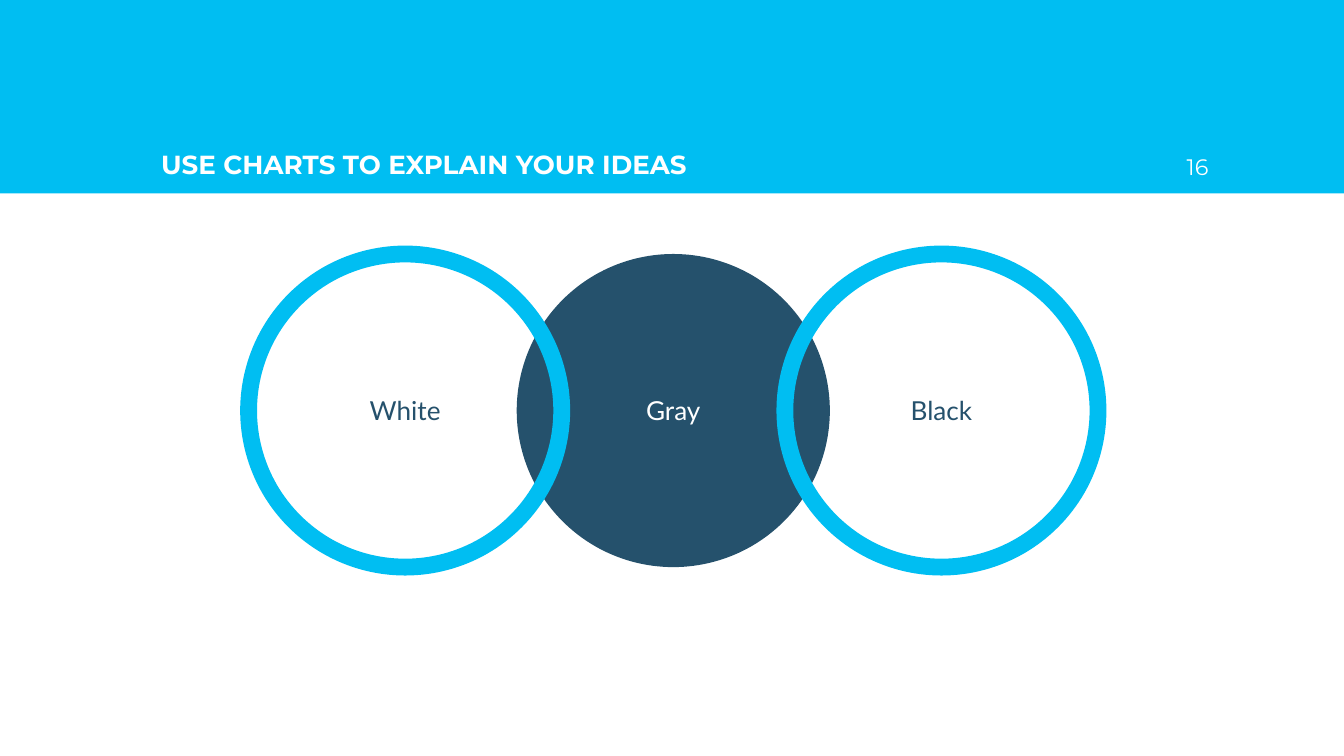
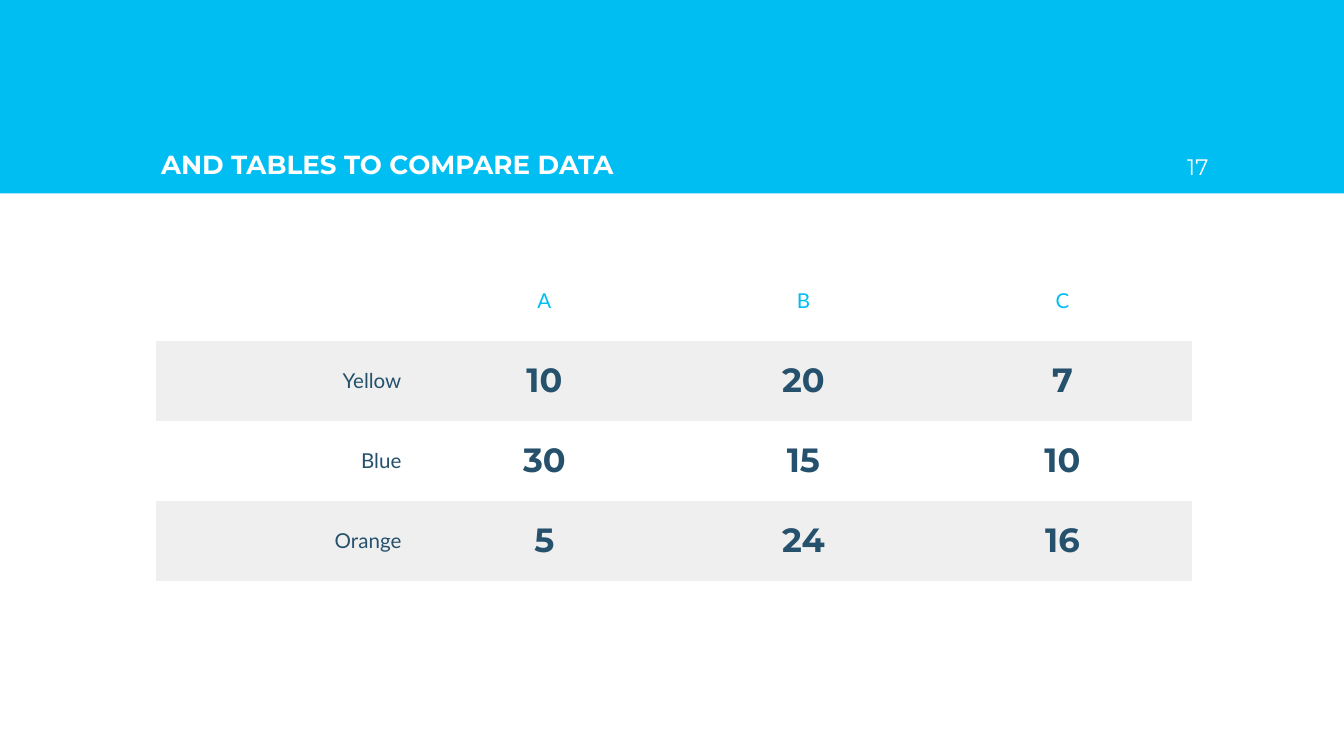
from pptx import Presentation
from pptx.dml.color import RGBColor
from pptx.enum.shapes import MSO_SHAPE
from pptx.enum.text import MSO_ANCHOR, PP_ALIGN
from pptx.oxml.ns import qn
from pptx.util import Inches, Pt

CYAN = RGBColor(0x00, 0xBE, 0xF2)
NAVY = RGBColor(0x25, 0x51, 0x6C)
PALE = RGBColor(0xEF, 0xEF, 0xEF)
WHITE = RGBColor(0xFF, 0xFF, 0xFF)
HEAD, BODY = "Montserrat", "Lato"
WIDTH = 10
HEIGHT = WIDTH * 9 / 16
BAND = 1.44
NO_GRID = "{2D5ABB26-0587-4C30-8999-92F81FD0307C}"


def add_run(p, text, size, font, color, bold=False, align=PP_ALIGN.LEFT):
    """Add one styled run to a paragraph."""
    p.alignment = align
    r = p.add_run()
    r.text = text
    r.font.size, r.font.name, r.font.bold = Pt(size), font, bold
    r.font.color.rgb = color


def set_frame(tf, anchor):
    """Give a text frame even insets, wrapping and an anchor."""
    tf.margin_left = tf.margin_right = tf.margin_top = tf.margin_bottom = Inches(0.1)
    tf.word_wrap = True
    tf.vertical_anchor = anchor
    return tf.paragraphs[0]


def add_shape(s, kind, box, fill=None, line=None):
    """Draw a preset shape with an optional fill and a 9 pt outline."""
    sp = s.shapes.add_shape(kind, *map(Inches, box))
    sp.shadow.inherit = False
    if fill is None:
        sp.fill.background()
    else:
        sp.fill.solid()
        sp.fill.fore_color.rgb = fill
    if line is None:
        sp.line.fill.background()
    else:
        sp.line.color.rgb = line
        sp.line.width = Pt(9)
    return sp


def add_label(s, box, *args, **kwargs):
    """Place bottom-anchored text in a box."""
    tb = s.shapes.add_textbox(*map(Inches, box))
    add_run(set_frame(tb.text_frame, MSO_ANCHOR.BOTTOM), *args, **kwargs)


def add_header(s, box, title, number):
    """Draw the band with the title and page number in its lower half."""
    x, y, w, h = box
    add_shape(s, MSO_SHAPE.RECTANGLE, box, CYAN)
    top, tall = y + h - 0.73, 0.73
    add_label(s, (x + 0.11 * w, top, 0.78 * w, tall), title, 14, HEAD, WHITE, bold=True)
    add_label(s, (x + 0.849 * w, top, 0.06 * w, tall), str(number), 12, HEAD, WHITE,
              align=PP_ALIGN.RIGHT)


def add_circles(s, box, names):
    """Spread overlapping circles over the box, rings above the solid middle."""
    x, y, w, h = box
    pitch = (w - h) / (len(names) - 1)
    middle = len(names) // 2
    for i in sorted(range(len(names)), key=lambda n: n != middle):
        solid = i == middle
        sp = add_shape(s, MSO_SHAPE.OVAL, (x + i * pitch, y, h, h),
                       NAVY if solid else None, None if solid else CYAN)
        add_run(set_frame(sp.text_frame, MSO_ANCHOR.MIDDLE), names[i], 14, BODY,
                WHITE if solid else NAVY, align=PP_ALIGN.CENTER)


def add_data_table(s, box, rows):
    """Fill the box with an even table whose odd rows are shaded."""
    frame = s.shapes.add_table(len(rows), len(rows[0]), *map(Inches, box))
    table = frame.table
    table.first_row = table.horz_banding = False
    for style in frame._element.iter(qn("a:tableStyleId")):
        style.text = NO_GRID
    for i, row in enumerate(rows):
        for j, text in enumerate(row):
            cell = table.cell(i, j)
            cell.margin_left = cell.margin_right = Inches(0.1)
            cell.margin_top = cell.margin_bottom = Inches(0.07)
            cell.vertical_anchor = MSO_ANCHOR.MIDDLE
            if i % 2:
                cell.fill.solid()
                cell.fill.fore_color.rgb = PALE
            else:
                cell.fill.background()
            if not text:
                continue
            value = i > 0 and j > 0
            add_run(cell.text_frame.paragraphs[0], text,
                    18 if value else 11, HEAD if value else BODY,
                    NAVY if i else CYAN, bold=value,
                    align=PP_ALIGN.CENTER if j else PP_ALIGN.RIGHT)


def add_slide(prs, title, number):
    """Add a blank slide with the shared header."""
    s = prs.slides.add_slide(prs.slide_layouts[6])
    s.background.fill.solid()
    s.background.fill.fore_color.rgb = WHITE
    add_header(s, (0, 0, WIDTH, BAND), title, number)
    return s


def main():
    """Build and save the presentation."""
    prs = Presentation()
    prs.slide_width, prs.slide_height = Inches(WIDTH), Inches(HEIGHT)
    s = add_slide(prs, "USE CHARTS TO EXPLAIN YOUR IDEAS", 16)
    add_circles(s, (1.85, 1.89, 6.32, 2.33), ["White", "Gray", "Black"])
    s = add_slide(prs, "AND TABLES TO COMPARE DATA", 17)
    add_data_table(s, (1.16, 1.94, 7.71, 2.38), [
        ["", "A", "B", "C"],
        ["Yellow", "10", "20", "7"],
        ["Blue", "30", "15", "10"],
        ["Orange", "5", "24", "16"],
    ])
    prs.save("out.pptx")


main()
